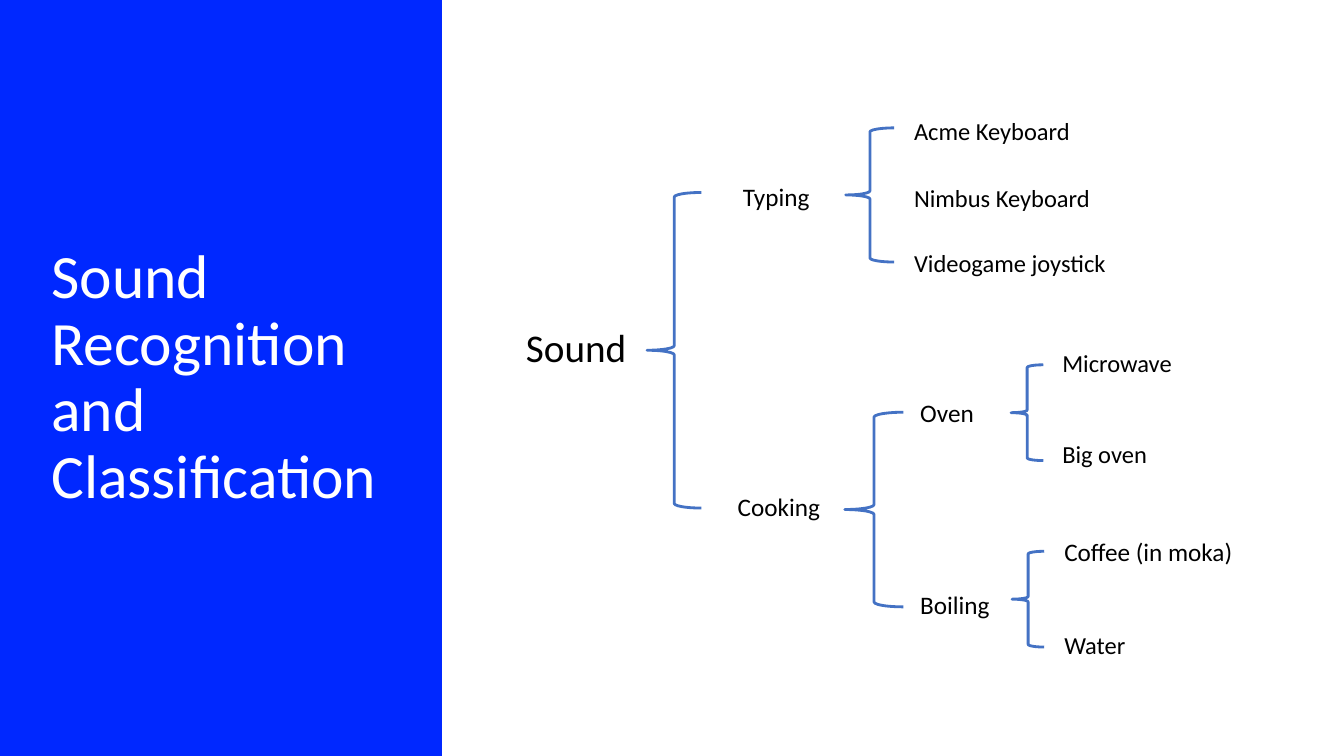
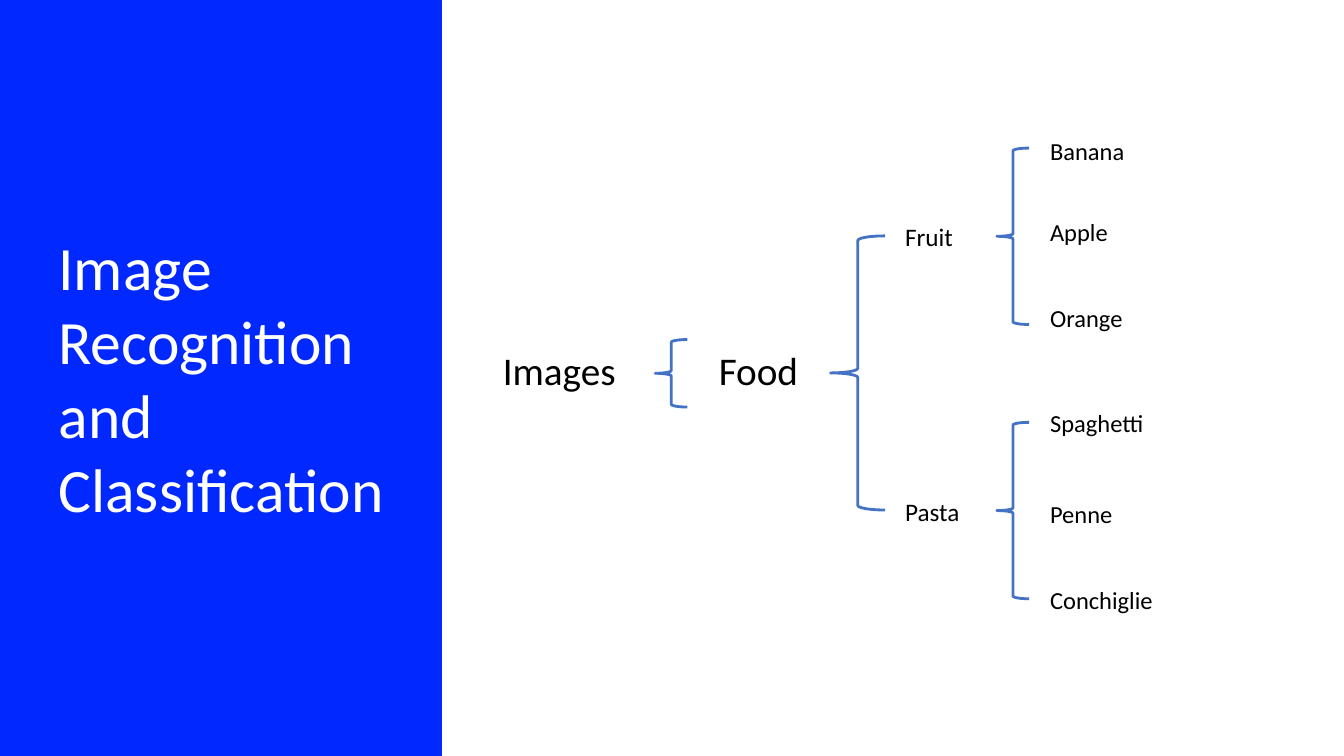
from pptx import Presentation
from pptx.util import Pt
from pptx.dml.color import RGBColor
from pptx.enum.shapes import MSO_SHAPE as SHAPE
from pptx.enum.text import MSO_ANCHOR as ANCHOR, MSO_AUTO_SIZE as AUTO, PP_ALIGN as ALIGN
from lxml.etree import SubElement
from pptx.oxml.ns import qn

COLORS = {"band": "0028FF", "brace": "4472C4", "text": "000000", "title": "FFFFFF"}
FONT = "Calibri"

# Format of each tree level: font size, line spacing, box width, box height
LEVELS = {
    "root": (28, 0.9, 104.4, 39),
    "branch": (18, 0.9, 104.4, 39),
    "leaf": (17.5, 0.7, 170, 24.5),
    "wide leaf": (18, 0.9, 170, 33),
}

# Labels: text, level, left, top (the first one fills the body placeholder)
# Braces: left, top, width, height
TREES = [
    {
        "title": "Sound Recognition and Classification",
        "title_box": (29.5, 132.5, 273, 275.8),
        "title_anchor": ANCHOR.MIDDLE,
        "title_spacing": 0.9,
        "labels": [
            ("Typing", "branch", 523.4, 128.2),
            ("Sound", "root", 368.6, 231.1),
            ("Cooking", "branch", 519.8, 350),
            ("Oven", "branch", 650.2, 283),
            ("Boiling", "branch", 650.2, 419.8),
            ("Acme Keyboard", "leaf", 645.8, 85),
            ("Nimbus Keyboard", "leaf", 645.8, 133.2),
            ("Videogame joystick", "leaf", 645.8, 179.3),
            ("Microwave", "leaf", 751.7, 250.6),
            ("Big oven", "leaf", 751.7, 316.1),
            ("Coffee (in moka)", "wide leaf", 753.1, 382.3),
            ("Water", "leaf", 753.1, 452.2),
        ],
        "braces": [
            (462.2, 137.5, 38.9, 225.4),
            (604.1, 91.4, 34.6, 95.8),
            (603.4, 294.5, 41.8, 139),
            (722.2, 260.6, 23, 68.4),
            (722.9, 393.8, 23, 68.4),
        ],
    },
    {
        "title": "Image Recognition and Classification",
        "title_box": (34.6, 159.8, 302.4, 220.3),
        "title_anchor": ANCHOR.TOP,
        "title_spacing": 1.0,
        "labels": [
            ("Food", "root", 506.2, 247.7),
            ("Images", "root", 352.1, 247.7),
            ("Fruit", "branch", 639.4, 157),
            ("Pasta", "branch", 639.4, 353.5),
            ("Banana", "leaf", 743, 99.4),
            ("Apple", "leaf", 743, 157),
            ("Orange", "leaf", 743, 218.9),
            ("Spaghetti", "leaf", 743, 293.8),
            ("Penne", "leaf", 743, 358.6),
            ("Conchiglie", "leaf", 743, 419.8),
        ],
        "braces": [
            (468, 242.6, 23, 48.2),
            (593.3, 168.5, 38.9, 195.8),
            (712.1, 105.8, 23, 126),
            (712.1, 301.7, 23, 126),
        ],
    },
]


def write(holder, text, box, size, color, spacing, before=0, anchor=ANCHOR.TOP):
    """Place a text holder and give it one plain, left-aligned paragraph."""
    for side, length in zip(("left", "top", "width", "height"), box):
        setattr(holder, side, Pt(length))
    frame = holder.text_frame
    frame.text = text
    line = frame.paragraphs[0]
    formats = {
        frame: {"word_wrap": True, "auto_size": AUTO.NONE, "vertical_anchor": anchor},
        line: {"alignment": ALIGN.LEFT, "line_spacing": spacing, "space_before": Pt(before)},
        line.runs[0].font: {"name": FONT, "size": Pt(size)},
    }
    for target, values in formats.items():
        for attribute, value in values.items():
            setattr(target, attribute, value)
    line.runs[0].font.color.rgb = RGBColor.from_string(COLORS[color])
    # No bullet and no hanging indent
    properties = line._p.get_or_add_pPr()
    properties.set("marL", "0")
    properties.set("indent", "0")
    SubElement(properties, qn("a:buNone"))


def draw(slide, preset, box, color, weight):
    """Add an outlined preset shape without a shadow."""
    shape = slide.shapes.add_shape(preset, *map(Pt, box))
    shape.shadow.inherit = False
    shape.line.color.rgb = RGBColor.from_string(COLORS[color])
    shape.line.width = Pt(weight)
    return shape


deck = Presentation()
deck.slide_width, deck.slide_height = Pt(960), Pt(540)

for tree in TREES:
    slide = deck.slides.add_slide(deck.slide_layouts[1])

    # Blue band behind the title
    band = draw(slide, SHAPE.RECTANGLE, (-0.5, 0, 315.5, 540), "band", 1)
    band.fill.solid()
    band.fill.fore_color.rgb = RGBColor.from_string(COLORS["band"])
    slide.shapes._spTree.insert(2, band._element)

    # Title
    write(slide.shapes.title, tree["title"], tree["title_box"], 44, "title",
          tree["title_spacing"], anchor=tree["title_anchor"])

    # Tree labels
    for index, (text, level, left, top) in enumerate(tree["labels"]):
        size, spacing, width, height = LEVELS[level]
        box = (left, top, width, height)
        if index == 0:
            label = slide.placeholders[1]
        else:
            label = slide.shapes.add_textbox(*map(Pt, box))
        write(label, text, box, size, "text", spacing, before=10)

    # Braces
    for box in tree["braces"]:
        draw(slide, SHAPE.LEFT_BRACE, box, "brace", 2).fill.background()

deck.save("out.pptx")
